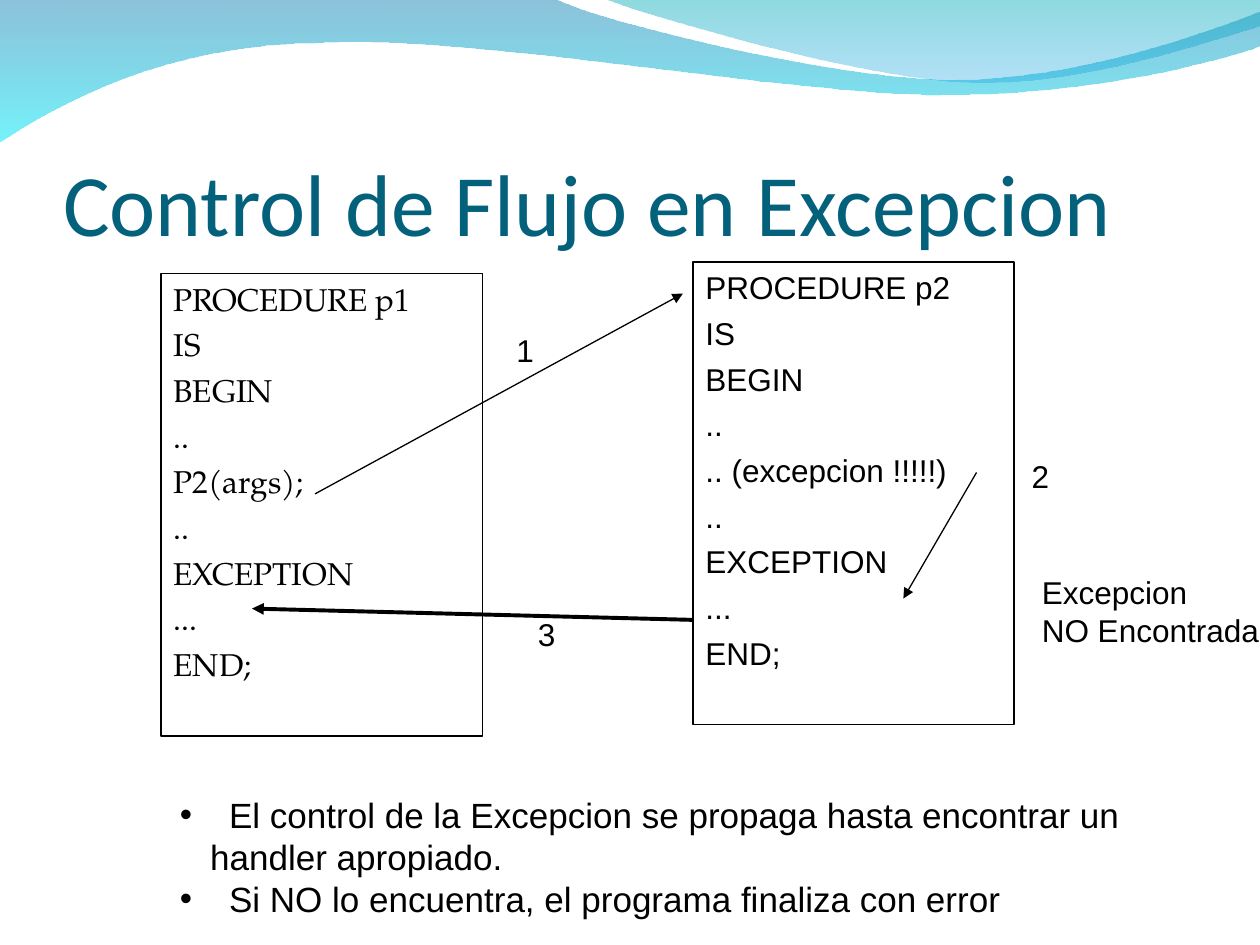
from lxml import etree
from pptx import Presentation
from pptx import util as u
from pptx.dml.color import RGBColor
from pptx.enum import shapes, text
from pptx.oxml.ns import qn

BLACK = "000000"
LOWER_WAVE = [
    [(4.4, -0.01)],
    [(4.76, 0.17), (6.64, 0.63), (7.58, 0.63)],
    [(8.53, 0.63), (9.58, 0.26), (10, 0.09)],
    [(10.01, 0.36)],
    [(9.83, 0.44), (8.7, 0.76), (7.46, 0.75)],
    [(6.22, 0.75), (3.82, 0.28), (2.57, 0.34)],
    [(1.29, 0.35), (0.46, 0.83), (-0.01, 1.13)],
]
UPPER_WAVE = [
    [(5.09, 0.11), (6.82, 0.62), (7.69, 0.65)],
    [(8.56, 0.69), (9.61, 0.32), (10, 0.21)],
    [(10, 0)],
]
CALLER = ["PROCEDURE p1", "IS", "BEGIN", "..", "P2(args);", "..",
          "EXCEPTION", "...", "END;"]
CALLED = ["PROCEDURE p2", "IS", "BEGIN", "..", ".. (excepcion !!!!!)", "..",
          "EXCEPTION", "...", "END;"]
NOTES = ["El control de la Excepcion se propaga hasta encontrar un handler apropiado.",
         "Si NO lo encuentra, el programa finaliza con error"]


def color(value):
    """Return the colour for a hex string."""
    return RGBColor.from_string(value)


def bend_segments(shape, segments):
    """Join each three-point segment of an outline into one cubic curve."""
    lines = iter(list(shape._element.iter(qn("a:lnTo"))))
    for segment in segments:
        nodes = [next(lines) for point in segment]
        if len(nodes) == 3:
            curve = etree.Element(qn("a:cubicBezTo"))
            nodes[0].addprevious(curve)
            for node in nodes:
                curve.append(node[0])
                node.getparent().remove(node)


def add_wave(slide, start, segments, stops):
    """Draw a closed wave with a vertical translucent gradient."""
    points = [(u.Inches(x), u.Inches(y)) for segment in segments for x, y in segment]
    builder = slide.shapes.build_freeform(*map(u.Inches, start))
    builder.add_line_segments(points, close=True)
    shape = builder.convert_to_shape()
    bend_segments(shape, segments)
    shape.shadow.inherit = False
    shape.line.fill.background()
    shape.fill.gradient()
    shape.fill.gradient_angle = 270
    for stop, (value, opacity) in zip(shape.fill.gradient_stops, stops):
        stop.color.rgb = color(value)
    for node, (value, opacity) in zip(shape._element.iter(qn("a:srgbClr")), stops):
        etree.SubElement(node, qn("a:alpha"), val=str(opacity * 1000))


def set_title(slide, words):
    """Place and format the title above the waves."""
    title = slide.shapes.title
    slide.shapes._spTree.append(title._element)
    title.left, title.top = u.Inches(0.5), u.Inches(0.77)
    title.width, title.height = u.Inches(9), u.Inches(1.25)
    frame = title.text_frame
    frame.auto_size = text.MSO_AUTO_SIZE.NONE
    frame.vertical_anchor = text.MSO_ANCHOR.BOTTOM
    frame.margin_left = frame.margin_right = frame.margin_bottom = 0
    frame.margin_top = u.Inches(0.05)
    paragraph = frame.paragraphs[0]
    paragraph.alignment = text.PP_ALIGN.LEFT
    write_run(paragraph, words, 50, "Calibri", "04617B")


def write_run(paragraph, words, size, font, value=BLACK):
    """Add one formatted run to a paragraph."""
    run = paragraph.add_run()
    run.text = words
    run.font.size = u.Pt(size)
    run.font.name = font
    run.font.color.rgb = color(value)


def add_bullet(paragraph):
    """Give a paragraph a hanging bullet and stops for its first-line tab."""
    properties = paragraph._p.get_or_add_pPr()
    properties.set("marL", str(u.Inches(0.24)))
    properties.set("indent", str(-u.Inches(0.24)))
    etree.SubElement(properties, qn("a:buFont"), typeface="Arial")
    etree.SubElement(properties, qn("a:buChar"), char="•")
    tabs = etree.SubElement(properties, qn("a:tabLst"))
    for stop in (0.15, 0.39):
        etree.SubElement(tabs, qn("a:tab"), pos=str(u.Inches(stop)), algn="l")


def write_lines(frame, lines, size=18, font="Arial", before=0, bullet=False):
    """Write one paragraph per line."""
    for index, line in enumerate(lines):
        paragraph = frame.paragraphs[0] if index == 0 else frame.add_paragraph()
        paragraph.alignment = text.PP_ALIGN.LEFT
        paragraph.line_spacing = u.Pt(size * 1.2)
        if index and before:
            paragraph.space_before = u.Pt(before)
        if bullet:
            add_bullet(paragraph)
            line = "\t" + line
        write_run(paragraph, line, size, font)


def add_code_box(slide, left, top, lines, font):
    """Add an outlined box of program lines."""
    shape = slide.shapes.add_shape(
        shapes.MSO_SHAPE.RECTANGLE,
        u.Inches(left), u.Inches(top), u.Inches(2.55), u.Inches(3.67))
    shape.shadow.inherit = False
    shape.fill.background()
    shape.line.color.rgb = color(BLACK)
    shape.line.width = u.Pt(1)
    shape.text_frame.word_wrap = True
    shape.text_frame.vertical_anchor = text.MSO_ANCHOR.TOP
    write_lines(shape.text_frame, lines, font=font, before=4.5)


def add_text(slide, left, top, width, height, lines, wrap=False, **style):
    """Add a text box that fits its lines."""
    box = slide.shapes.add_textbox(
        u.Inches(left), u.Inches(top), u.Inches(width), u.Inches(height))
    box.text_frame.word_wrap = wrap
    box.text_frame.auto_size = text.MSO_AUTO_SIZE.SHAPE_TO_FIT_TEXT
    write_lines(box.text_frame, lines, **style)


def add_arrow(slide, start, end, width=0.75):
    """Add a straight arrow from start to end."""
    arrow = slide.shapes.add_connector(
        shapes.MSO_CONNECTOR.STRAIGHT, *map(u.Inches, start + end))
    arrow.line.color.rgb = color(BLACK)
    arrow.line.width = u.Pt(width)
    etree.SubElement(arrow.line._get_or_add_ln(), qn("a:tailEnd"), type="triangle")
    etree.SubElement(arrow._element.spPr, qn("a:effectLst"))


def main():
    """Build the exception flow slide."""
    presentation = Presentation()
    presentation.slide_width, presentation.slide_height = u.Inches(10), u.Inches(7.5)
    slide = presentation.slides.add_slide(presentation.slide_layouts[5])
    add_wave(slide, (0, -0.01), LOWER_WAVE, [("0079AF", 45), ("00EBF8", 55)])
    add_wave(slide, (4.79, -0.01), UPPER_WAVE, [("00ADB6", 45), ("009BE5", 30)])
    set_title(slide, "Control de Flujo en Excepcion")
    add_code_box(slide, 1.28, 2.17, CALLER, "TeX Gyre Pagella")
    add_code_box(slide, 5.5, 2.08, CALLED, "Arial")
    add_arrow(slide, (2.5, 3.92), (5.42, 2.33))
    add_arrow(slide, (7.75, 3.75), (7.17, 4.75))
    add_text(slide, 8.17, 4.5, 1.92, 0.7, ["Excepcion", "NO Encontrada"])
    add_arrow(slide, (5.5, 4.92), (2, 4.83), 2.25)
    for step, (left, top) in enumerate([(4, 2.58), (8.09, 3.58), (4.17, 4.83)], 1):
        add_text(slide, left, top, 0.34, 0.4, [str(step)])
    add_text(slide, 1.33, 6.25, 8.17, 1.1, NOTES, wrap=True, size=20, bullet=True)
    presentation.save("out.pptx")


if __name__ == "__main__":
    main()
